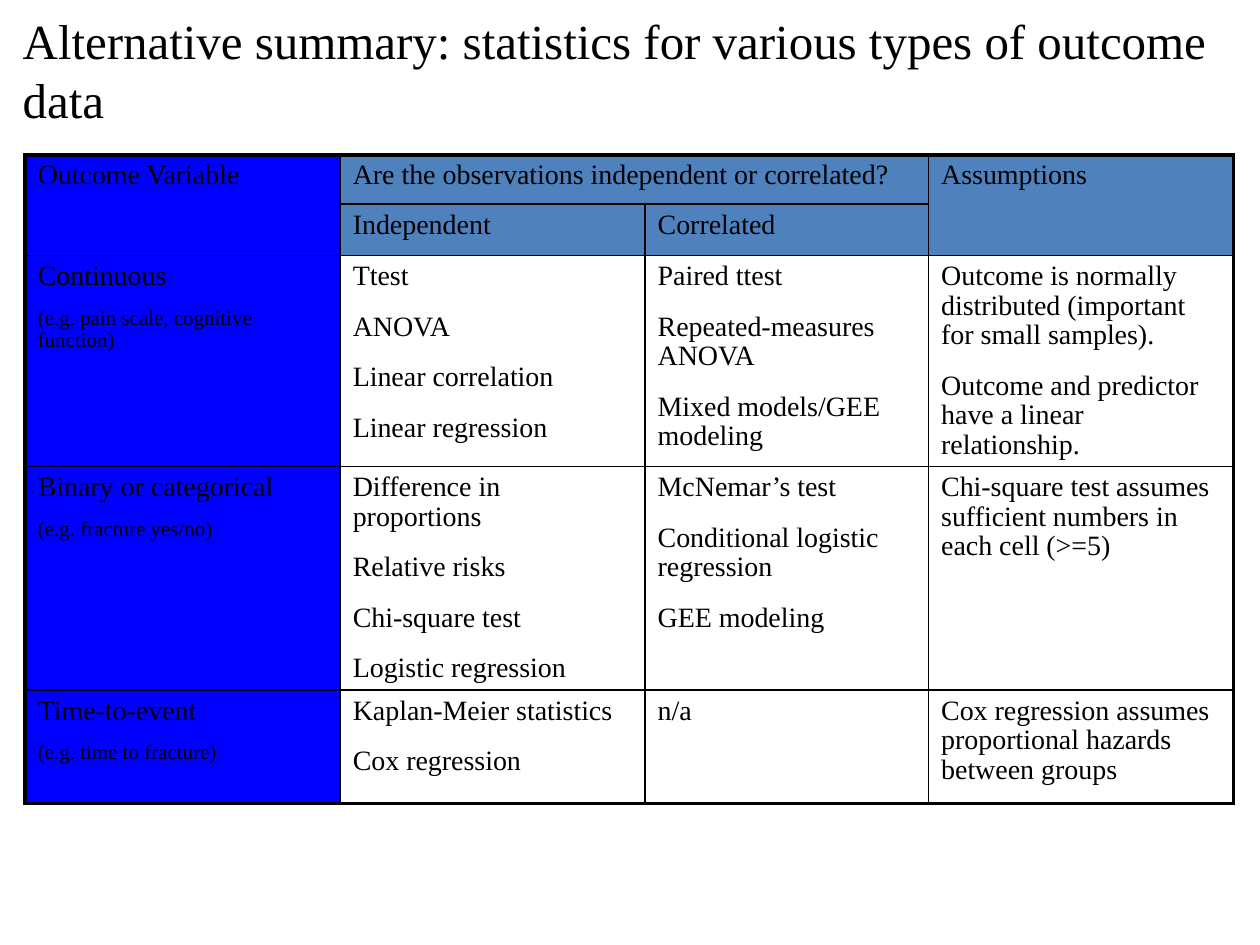
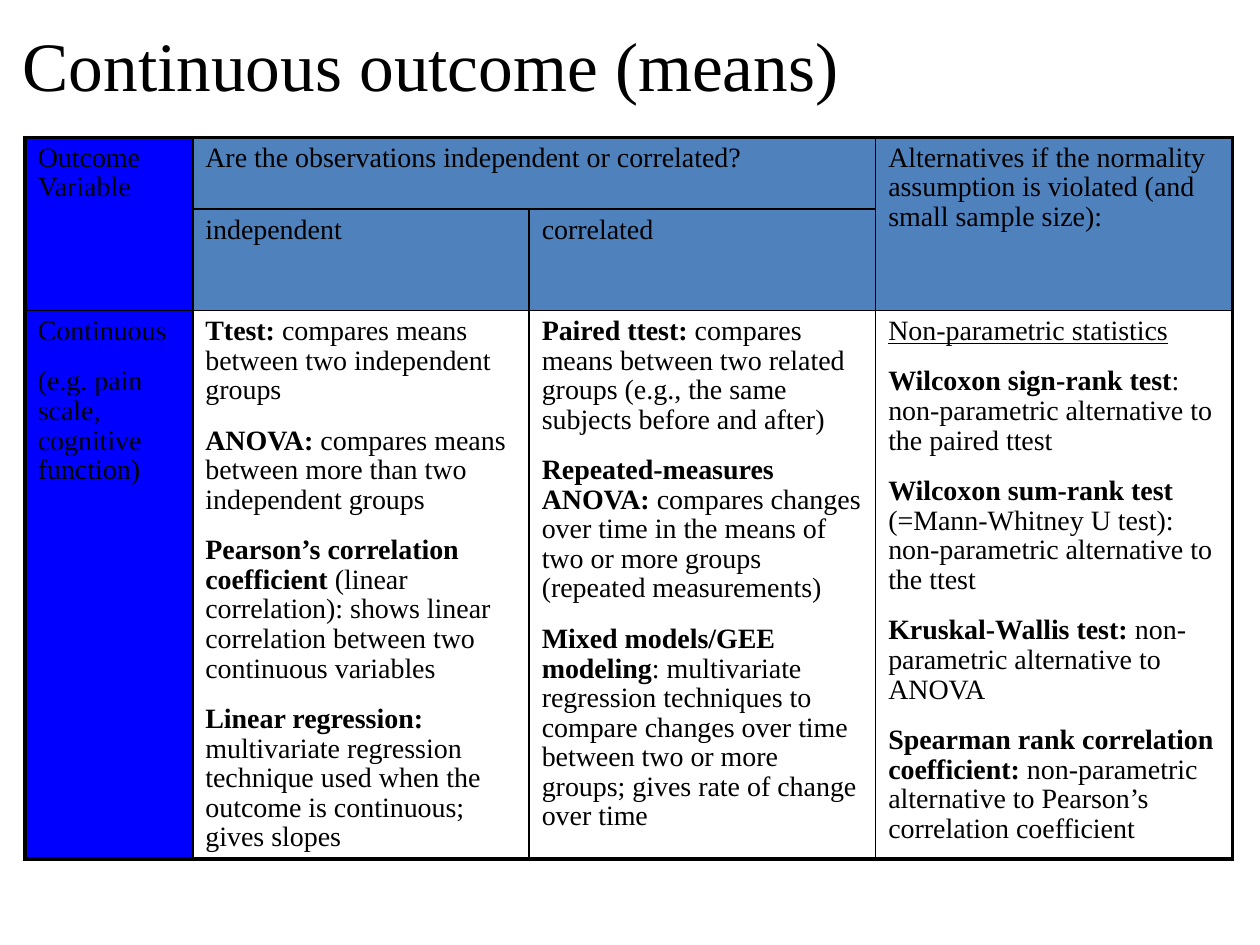
"""Build two slides that tabulate statistics by type of outcome variable."""
from lxml.etree import SubElement
from pptx import Presentation
from pptx.dml.color import RGBColor
from pptx.enum.text import MSO_ANCHOR, MSO_AUTO_SIZE, PP_ALIGN
from pptx.oxml.ns import qn
from pptx.util import Inches, Pt

FONT = "Times New Roman"
BLACK, BLUE, STEEL = "000000", "0000FF", "4F81BD"
SIZE, THIN, THICK = 16, 1, 2.25
ASK = "Are the observations independent or correlated?"


def add_run(para, text, size, bold=False, under=False):
    run = para.add_run()
    run.text = text
    font = run.font
    font.name, font.size, font.bold, font.underline = FONT, Pt(size), bold, under
    font.color.rgb = RGBColor.from_string(BLACK)


def add_edge(cell, side, width):
    line = SubElement(cell._tc.get_or_add_tcPr(), qn(f"a:ln{side}"), w=str(Pt(width)))
    fill = SubElement(line, qn("a:solidFill"))
    SubElement(fill, qn("a:srgbClr"), val=BLACK)


slides = [
    {
        "title": "Alternative summary: statistics for various types of outcome data",
        "box": (0.08, 0.31, 9.88, 0.48), "size": 28, "top": 1.23, "note": 12,
        "cols": (2.5, 2.42, 2.25, 2.42), "rows": (0.39, 0.41, 1.67, 1.77, 0.9),
        "cells": [
            [["Outcome Variable"], [ASK], [], ["Assumptions"]],
            [[], ["Independent"], ["Correlated"], []],
            [
                ["Continuous", "(e.g. pain scale, cognitive function)"],
                ["Ttest", "ANOVA", "Linear correlation", "Linear regression"],
                ["Paired ttest", "Repeated-measures ANOVA", "Mixed models/GEE modeling"],
                ["Outcome is normally distributed (important for small samples).",
                 "Outcome and predictor have a linear relationship."],
            ],
            [
                ["Binary or categorical", "(e.g. fracture yes/no)"],
                ["Difference in proportions", "Relative risks", "Chi-square test",
                 "Logistic regression"],
                ["McNemar’s test", "Conditional logistic regression", "GEE modeling"],
                ["Chi-square test assumes sufficient numbers in each cell (>=5)"],
            ],
            [
                ["Time-to-event", "(e.g. time to fracture)"],
                ["Kaplan-Meier statistics", "Cox regression"],
                ["n/a"],
                ["Cox regression assumes proportional hazards between groups"],
            ],
        ],
    },
    {
        "title": "Continuous outcome (means)",
        "box": (0.08, 0.23, 8.52, 0.55), "size": 39.6, "top": 1.09, "note": SIZE,
        "cols": (1.33, 2.67, 2.75, 2.83), "rows": (0.57, 0.8, 4.35),
        "cells": [
            [["Outcome Variable"], [ASK], [],
             ["Alternatives if the normality assumption is violated (and small sample size):"]],
            [[], ["independent"], ["correlated"], []],
            [
                ["Continuous", "(e.g. pain scale, cognitive function)"],
                ["Ttest:| compares means between two independent groups",
                 "ANOVA:| compares means between more than two independent groups",
                 "Pearson’s correlation coefficient| (linear correlation): shows linear "
                 "correlation between two continuous variables",
                 "Linear regression:| multivariate regression technique used when the "
                 "outcome is continuous; gives slopes"],
                ["Paired ttest:| compares means between two related groups (e.g., the same "
                 "subjects before and after)",
                 "Repeated-measures ANOVA:| compares changes over time in the means of two "
                 "or more groups (repeated measurements)",
                 "Mixed models/GEE modeling|: multivariate regression techniques to compare "
                 "changes over time between two or more groups; gives rate of change over time"],
                ["_Non-parametric statistics",
                 "Wilcoxon sign-rank test|: non-parametric alternative to the paired ttest",
                 "Wilcoxon sum-rank test| (=Mann-Whitney U test): non-parametric alternative "
                 "to the ttest",
                 "Kruskal-Wallis test: |non-parametric alternative to ANOVA",
                 "Spearman rank correlation coefficient:| non-parametric alternative to "
                 "Pearson’s correlation coefficient"],
            ],
        ],
    },
]

deck = Presentation()
deck.slide_width, deck.slide_height = Inches(10), Inches(7.5)

for data in slides:
    slide = deck.slides.add_slide(deck.slide_layouts[5])
    title = slide.shapes.title
    title.left, title.top, title.width, title.height = map(Inches, data["box"])
    frame = title.text_frame
    frame.auto_size = MSO_AUTO_SIZE.NONE
    frame.vertical_anchor = MSO_ANCHOR.MIDDLE
    frame.paragraphs[0].alignment = PP_ALIGN.LEFT
    add_run(frame.paragraphs[0], data["title"], data["size"])

    cols, rows = data["cols"], data["rows"]
    table = slide.shapes.add_table(
        len(rows), len(cols), Inches(0.2), Inches(data["top"]),
        Inches(sum(cols)), Inches(sum(rows))).table
    for col, width in zip(table.columns, cols):
        col.width = Inches(width)
    for row, height in zip(table.rows, rows):
        row.height = Inches(height)
    for first, last in (((0, 0), (1, 0)), ((0, 1), (0, 2)), ((0, 3), (1, 3))):
        table.cell(*first).merge(table.cell(*last))

    for r, row in enumerate(data["cells"]):
        for c, texts in enumerate(row):
            cell = table.cell(r, c)
            outer = {"L": c == 0, "R": c == len(cols) - 1,
                     "T": r == 0, "B": r == len(rows) - 1}
            for side, edge in outer.items():
                add_edge(cell, side, THICK if edge else THIN)
            if c == 0 or r < 2:
                cell.fill.solid()
                cell.fill.fore_color.rgb = RGBColor.from_string(STEEL if c else BLUE)
            else:
                cell.fill.background()

            for i, text in enumerate(texts):
                frame = cell.text_frame
                para = frame.add_paragraph() if i else frame.paragraphs[0]
                para.line_spacing = 0.95
                size = data["note"] if i and c == 0 else SIZE
                if i:
                    para.space_before = Pt(0.75 * size)
                lead, bar, rest = text.partition("|")
                add_run(para, lead.lstrip("_"), size, bool(bar), lead.startswith("_"))
                if rest:
                    add_run(para, rest, size)

deck.save("out.pptx")
